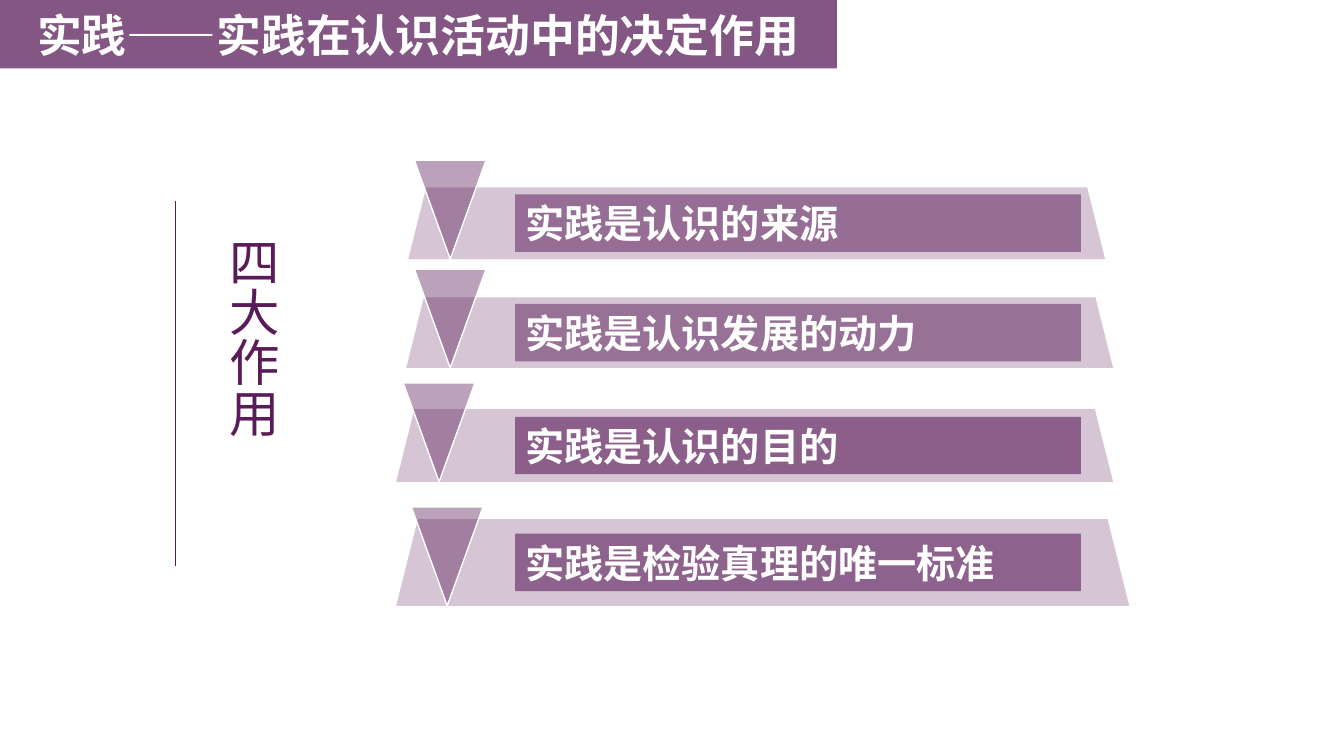
import lxml.etree
import pptx
import pptx.dml.color
import pptx.enum.shapes
import pptx.enum.text
import pptx.oxml.ns
import pptx.util

Inches = pptx.util.Inches
SHAPES = pptx.enum.shapes.MSO_SHAPE
ALIGN = pptx.enum.text.PP_ALIGN
MIDDLE = pptx.enum.text.MSO_ANCHOR.MIDDLE
qn = pptx.oxml.ns.qn

PURPLE = "5A1B58"
WHITE = "FFFFFF"
FONT = "Noto Sans CJK SC"

LABEL_LEFT, LABEL_WIDTH, LABEL_HEIGHT = 5.11, 5.61, 0.57
MARKER_WIDTH, MARKER_HEIGHT = 0.71, 0.98

# Wording, band box, marker offset from the band's left, label opacity
ROLES = [
    ("实践是认识的来源", (4.05, 1.86, 6.91, 0.71), 0.06, 51),
    ("实践是认识发展的动力", (4.03, 2.95, 7.01, 0.7), 0.08, 49),
    ("实践是认识的目的", (3.93, 4.06, 7.11, 0.72), 0.07, 60),
    ("实践是检验真理的唯一标准", (3.93, 5.15, 7.27, 0.86), 0.15, 58),
]


def color(hex_value):
    return pptx.dml.color.RGBColor.from_string(hex_value)


def fill_purple(shape, opacity):
    shape.fill.solid()
    shape.fill.fore_color.rgb = color(PURPLE)
    tint = shape.fill._xPr.find(qn("a:solidFill"))[0]
    lxml.etree.SubElement(tint, qn("a:alpha"), val=str(opacity * 1000))


def add_purple_shape(slide, preset, box, opacity):
    shape = slide.shapes.add_shape(preset, *map(Inches, box))
    shape.shadow.inherit = False
    fill_purple(shape, opacity)
    shape.line.fill.background()
    return shape


def write(frame, text, size, hex_value, bold=False, align=ALIGN.LEFT):
    frame.word_wrap = True
    frame.text = text
    paragraph = frame.paragraphs[0]
    paragraph.alignment = align
    font = paragraph.runs[0].font
    font.size = pptx.util.Pt(size)
    font.bold = bold
    font.color.rgb = color(hex_value)
    font.name = FONT
    lxml.etree.SubElement(font._element, qn("a:ea"), typeface=FONT)


def build_title(slide, box):
    title = slide.shapes.title
    title.left, title.top, title.width, title.height = map(Inches, box)
    # Arrow-shaped outline for the title
    outline = lxml.etree.SubElement(title._element.spPr, qn("a:prstGeom"), prst="homePlate")
    lxml.etree.SubElement(outline, qn("a:avLst"))
    fill_purple(title, 74)
    frame = title.text_frame
    write(frame, "实践——实践在认识活动中的决定作用", 32, WHITE, True, ALIGN.CENTER)
    frame.vertical_anchor = MIDDLE
    frame.auto_size = pptx.enum.text.MSO_AUTO_SIZE.NONE
    frame.paragraphs[0].line_spacing = 1.0


def build_side_heading(slide, box):
    left, top, width, height = box
    # Vertical rule
    rule = slide.shapes.add_connector(
        pptx.enum.shapes.MSO_CONNECTOR.STRAIGHT,
        Inches(left), Inches(top), Inches(left), Inches(top + height))
    rule.line.color.rgb = color(PURPLE)
    rule.line.width = pptx.util.Pt(0.5)
    lxml.etree.SubElement(rule._element.spPr, qn("a:effectLst"))
    # Vertical heading
    heading = slide.shapes.add_textbox(
        Inches(left + 0.31), Inches(top + 0.26), Inches(width - 0.31), Inches(3.12))
    write(heading.text_frame, "四大作用", 36, PURPLE)
    heading.text_frame._txBody.bodyPr.set("vert", "eaVert")


def build_role(slide, box, text, marker_offset, label_opacity):
    left, top, width, height = box
    # Band
    add_purple_shape(slide, SHAPES.TRAPEZOID, box, 25)
    # Marker standing on the band's lower edge
    marker_box = (left + marker_offset, top + height - MARKER_HEIGHT,
                  MARKER_WIDTH, MARKER_HEIGHT)
    marker = add_purple_shape(slide, SHAPES.ISOSCELES_TRIANGLE, marker_box, 41)
    marker.rotation = 180
    marker.line.color.rgb = color(WHITE)
    marker.line.width = pptx.util.Pt(1)
    # Label centred in the band's height
    label_box = (LABEL_LEFT, top + (height - LABEL_HEIGHT) / 2, LABEL_WIDTH, LABEL_HEIGHT)
    label = add_purple_shape(slide, SHAPES.RECTANGLE, label_box, label_opacity)
    write(label.text_frame, text, 28, WHITE, True)
    label.text_frame.vertical_anchor = MIDDLE


def main():
    deck = pptx.Presentation()
    deck.slide_width, deck.slide_height = Inches(13.33), Inches(7.5)
    slide = deck.slides.add_slide(deck.slide_layouts.get_by_name("Title Only"))
    build_title(slide, (0, 0, 8.3, 0.68))
    for text, box, marker_offset, label_opacity in ROLES:
        build_role(slide, box, text, marker_offset, label_opacity)
    build_side_heading(slide, (1.74, 1.99, 1.12, 3.63))
    deck.save("out.pptx")


if __name__ == "__main__":
    main()
